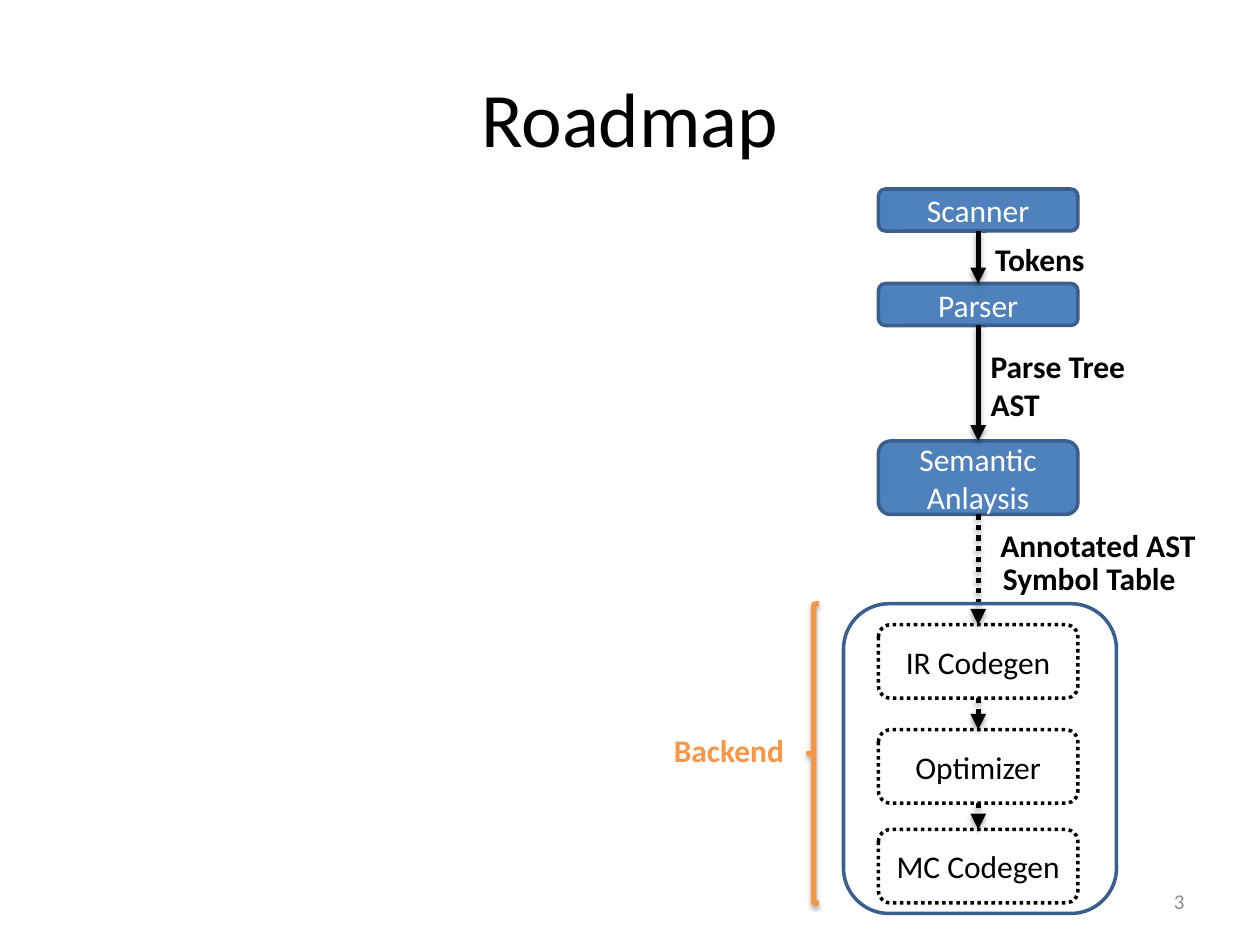
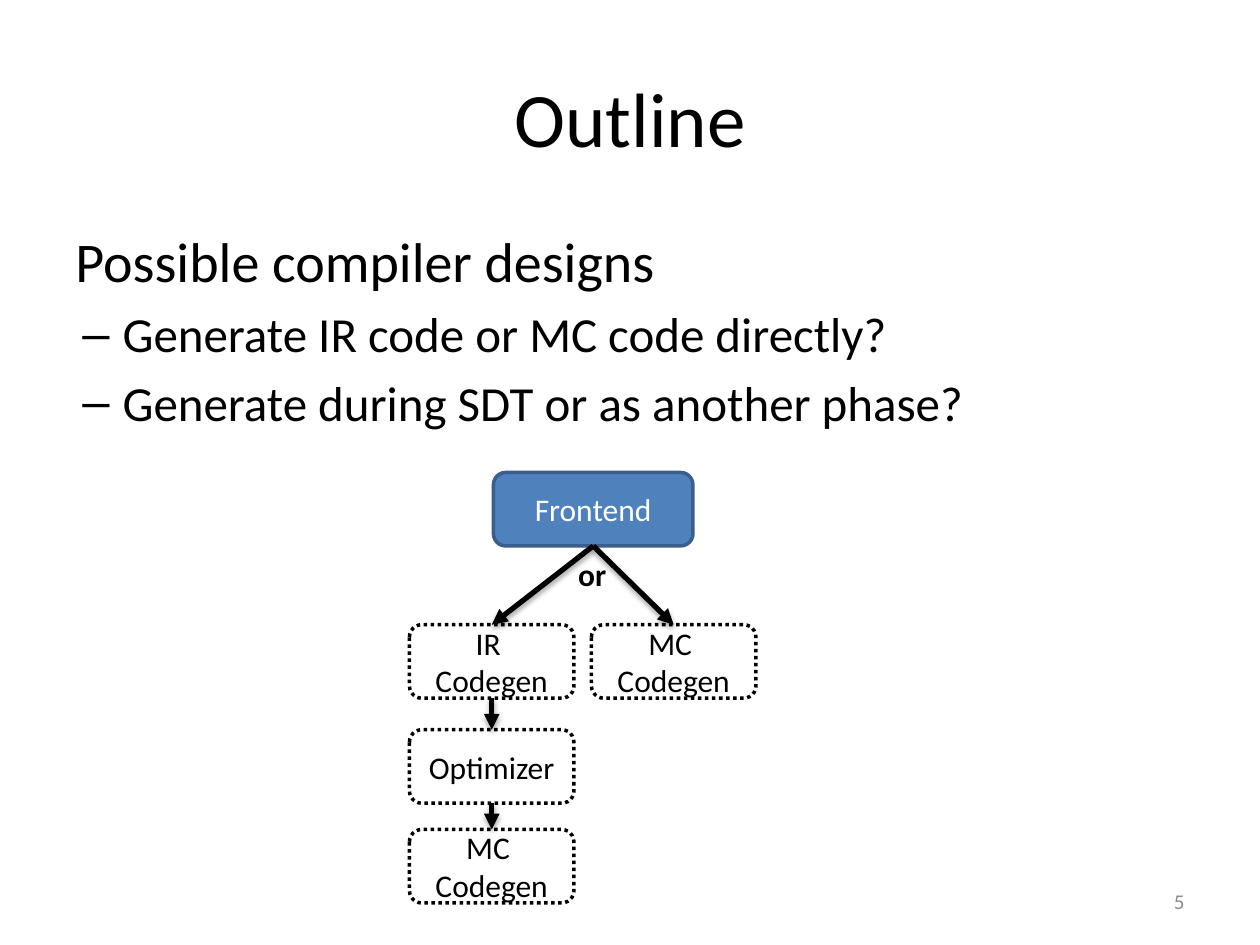
from typing import NamedTuple

from lxml.etree import SubElement
from pptx import Presentation
from pptx.dml.color import RGBColor
from pptx.enum.dml import MSO_LINE
from pptx.enum.shapes import MSO_CONNECTOR, MSO_SHAPE
from pptx.enum.text import MSO_ANCHOR, MSO_AUTO_SIZE, PP_ALIGN
from pptx.oxml.ns import qn
from pptx.util import Pt

FONT = "Calibri"
HEX = {
    "ink": "000000",
    "paper": "FFFFFF",
    "blue": "4F81BD",
    "edge": "3A5F8C",
    "orange": "F79646",
    "gray": "8C8C8C",
}
STEP_TOPS = (357, 417, 474)  # the three backend steps, on both slides
TALL, LOW = 42, 24


class Box(NamedTuple):
    text: str
    left: float
    top: float
    width: float = 114
    height: float = TALL
    done: bool = True  # solid blue if done, dotted outline if not

    @property
    def mid(self) -> float:
        return self.left + self.width / 2

    @property
    def foot(self) -> float:
        return self.top + self.height


class Label(NamedTuple):
    text: str
    left: float
    top: float
    width: float
    height: float = 29
    color: str = "ink"


def rgb(name: str) -> RGBColor:
    return RGBColor.from_string(HEX[name])


def style(frame, size: float, color: str, bold: bool = False, align=None) -> None:
    for para in frame.paragraphs:
        para.alignment = align
        for run in para.runs:
            font = run.font
            font.name, font.size, font.bold = FONT, Pt(size), bold
            font.color.rgb = rgb(color)


def stroke(line, color: str, width: float, dotted: bool = False) -> None:
    line.color.rgb = rgb(color)
    line.width = Pt(width)
    if dotted:
        line.dash_style = MSO_LINE.ROUND_DOT


def shade(shape) -> None:
    """Give a shape the soft shadow that falls straight down."""
    props = shape._element.spPr
    for old in props.findall(qn("a:effectLst")):
        props.remove(old)
    drop = SubElement(
        SubElement(props, qn("a:effectLst")), qn("a:outerShdw"),
        blurRad=str(Pt(3.1)), dist=str(Pt(1.8)), dir="5400000", rotWithShape="0",
    )
    tint = SubElement(drop, qn("a:srgbClr"), val=HEX["ink"])
    SubElement(tint, qn("a:alpha"), val="35000")


def outline(slide, kind, left: float, top: float, width: float, height: float,
            color: str, weight: float, dotted: bool = False):
    shape = slide.shapes.add_shape(kind, Pt(left), Pt(top), Pt(width), Pt(height))
    shape.shadow.inherit = False
    shape.fill.background()
    stroke(shape.line, color, weight, dotted)
    return shape


def draw_box(slide, box: Box) -> None:
    shape = outline(slide, MSO_SHAPE.ROUNDED_RECTANGLE, box.left, box.top, box.width,
                    box.height, "edge" if box.done else "ink", 2, not box.done)
    shape.fill.solid()
    shape.fill.fore_color.rgb = rgb("blue" if box.done else "paper")
    shape.text_frame.text = box.text
    style(shape.text_frame, 18, "paper" if box.done else "ink", align=PP_ALIGN.CENTER)


def draw_arrow(slide, start: Box, end: Box, dotted: bool = False) -> None:
    line = slide.shapes.add_connector(
        MSO_CONNECTOR.STRAIGHT, Pt(start.mid), Pt(start.foot), Pt(end.mid), Pt(end.top))
    stroke(line.line, "ink", 3, dotted)
    SubElement(line.line._get_or_add_ln(), qn("a:tailEnd"), type="triangle")
    shade(line)


def draw_chain(slide, chain: list[Box], dotted: bool = False) -> None:
    for start, end in zip(chain, chain[1:]):
        draw_arrow(slide, start, end, dotted and not end.done)


def add_text(slide, text: str, left: float, top: float, width: float, height: float):
    shape = slide.shapes.add_textbox(Pt(left), Pt(top), Pt(width), Pt(height))
    shape.text_frame.text = text
    return shape.text_frame


def draw_label(slide, label: Label) -> None:
    frame = add_text(slide, *label[:5])
    frame.word_wrap = False
    frame.auto_size = MSO_AUTO_SIZE.SHAPE_TO_FIT_TEXT
    style(frame, 18, label.color, bold=True)


def new_slide(deck, title: str, number: int):
    slide = deck.slides.add_slide(deck.slide_layouts[5])
    head = slide.shapes.title
    head.left, head.top, head.width, head.height = Pt(36), Pt(21.6), Pt(648), Pt(90)
    head.text_frame.text = title
    head.text_frame.vertical_anchor = MSO_ANCHOR.MIDDLE
    style(head.text_frame, 44, "ink", align=PP_ALIGN.CENTER)
    frame = add_text(slide, str(number), 516, 500.5, 168, 29)
    frame.word_wrap = True
    frame.vertical_anchor = MSO_ANCHOR.MIDDLE
    style(frame, 12, "gray", align=PP_ALIGN.RIGHT)
    return slide


def add_roadmap(deck) -> None:
    slide = new_slide(deck, "Roadmap", 3)
    left = 502

    # Compiler phases, top to bottom
    names = ("IR Codegen", "Optimizer", "MC Codegen")
    chain = [
        Box("Scanner", left, 108, height=LOW),
        Box("Parser", left, 162, height=LOW),
        Box("Semantic Anlaysis", left, 252),
        *(Box(name, left, top, done=False) for name, top in zip(names, STEP_TOPS)),
    ]
    for box in chain:
        draw_box(slide, box)
    draw_chain(slide, chain, dotted=True)

    # Backend frame and brace
    outline(slide, MSO_SHAPE.ROUNDED_RECTANGLE, 482, 345, 156, 177, "edge", 2)
    shade(outline(slide, MSO_SHAPE.LEFT_BRACE, 462, 345, 6, 171, "orange", 3))

    # What passes between the phases
    for label in (
        Label("Tokens", 561.6, 133.5, 65.5),
        Label("Parse Tree\nAST", 559, 195, 92, 51),
        Label("Annotated AST", 564.5, 297, 131),
        Label("Symbol Table", 566, 316, 114),
        Label("Backend", 378, 414, 78, color="orange"),
    ):
        draw_label(slide, label)


def add_outline(deck) -> None:
    slide = new_slide(deck, "Outline", 5)

    # Question and its two dashed points
    frame = add_text(slide, "Possible compiler designs\n"
                     "Generate IR code or MC code directly?\n"
                     "Generate during SDT or as another phase?", 36, 126, 648, 356)
    frame.word_wrap = True
    style(frame, 28, "ink")
    first, *points = frame.paragraphs
    first.runs[0].font.size = Pt(32)
    first.space_before = Pt(6.4)
    for point in points:
        point.level = 1
        point.space_before = Pt(5.6)
        props = point._p.get_or_add_pPr()
        props.set("marL", str(Pt(27)))
        props.set("indent", str(Pt(-23)))
        SubElement(props, qn("a:buFont"), typeface="Arial")
        SubElement(props, qn("a:buChar"), char="–")

    # Two ways on from the front end
    front = Box("Frontend", 282, 270)
    names = ("IR \nCodegen", "Optimizer", "MC \nCodegen")
    steps = [Box(name, 234, top, 94, done=False) for name, top in zip(names, STEP_TOPS)]
    direct = steps[-1]._replace(left=338, top=STEP_TOPS[0])
    for box in (front, *steps, direct):
        draw_box(slide, box)
    draw_chain(slide, [front, *steps])
    draw_arrow(slide, front, direct)
    draw_label(slide, Label("or", 323.3, 313.5, 31))


def main() -> None:
    deck = Presentation()
    deck.slide_width, deck.slide_height = Pt(720), Pt(540)
    add_roadmap(deck)
    add_outline(deck)
    deck.save("out.pptx")


if __name__ == "__main__":
    main()
